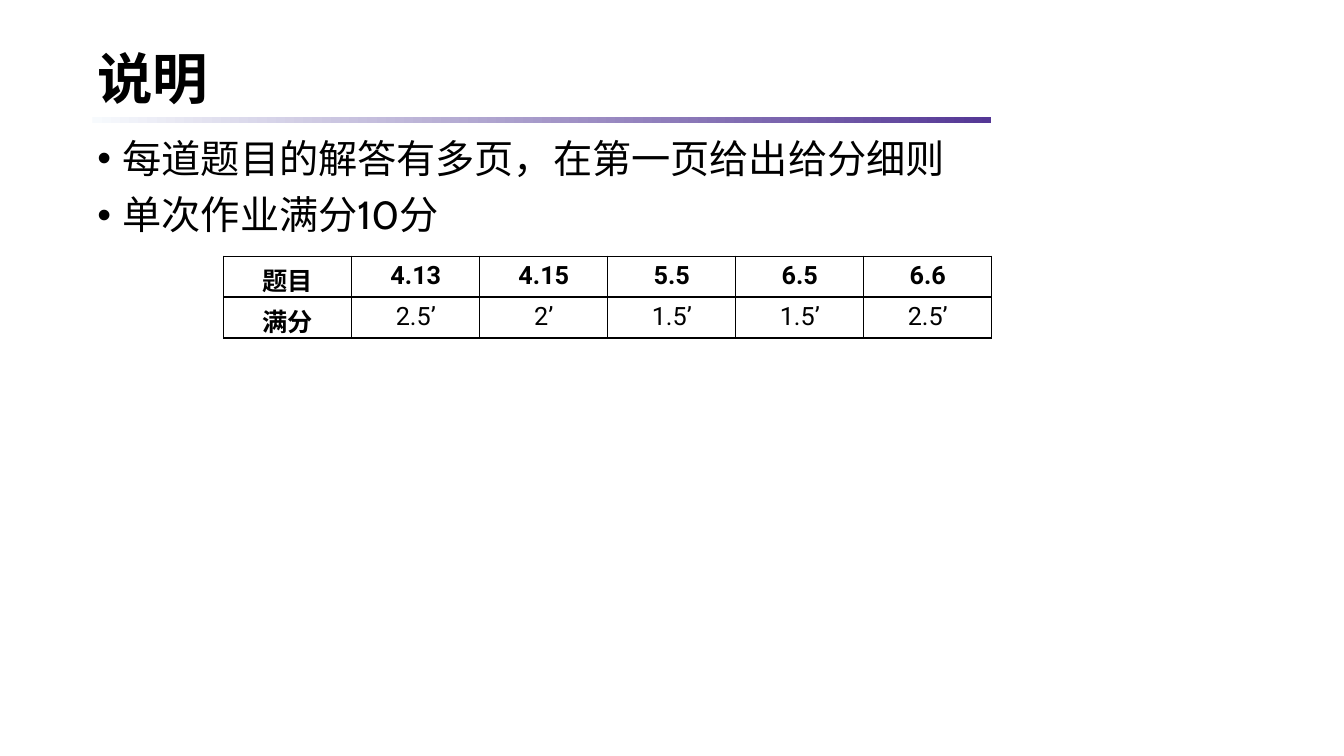
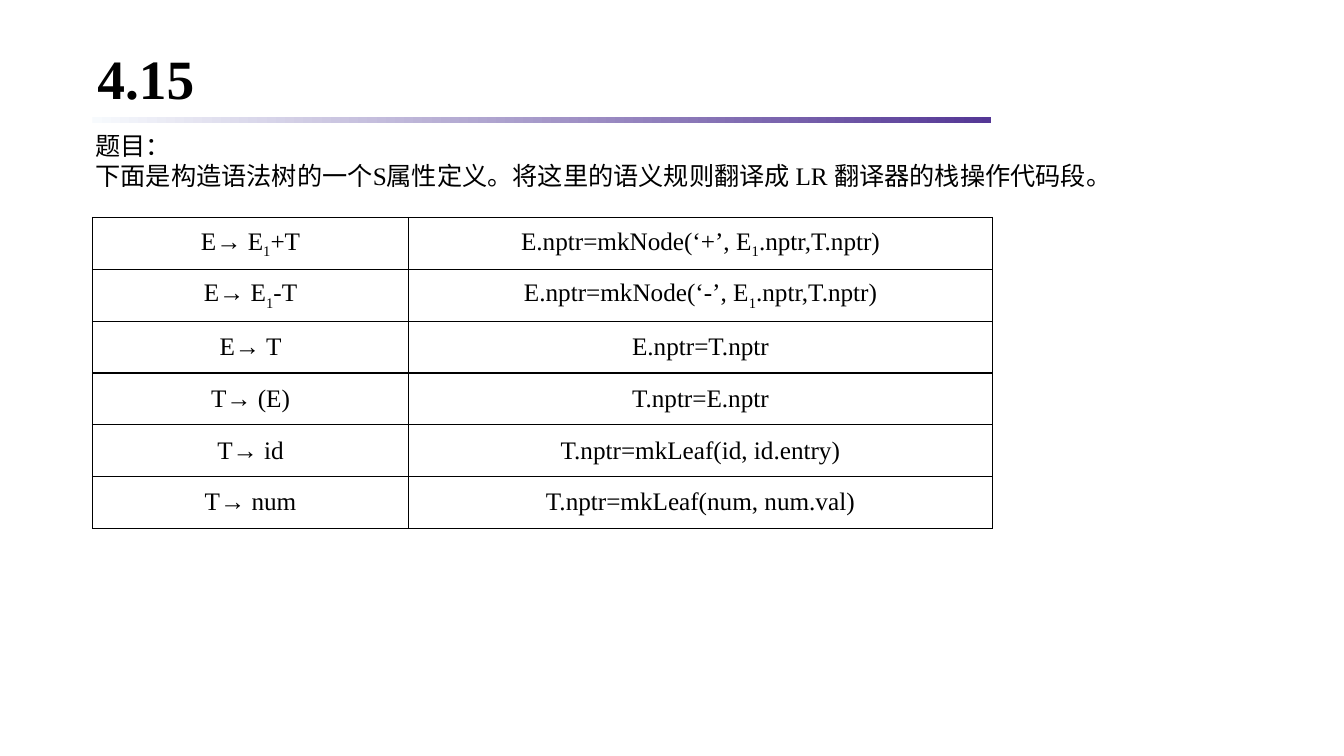
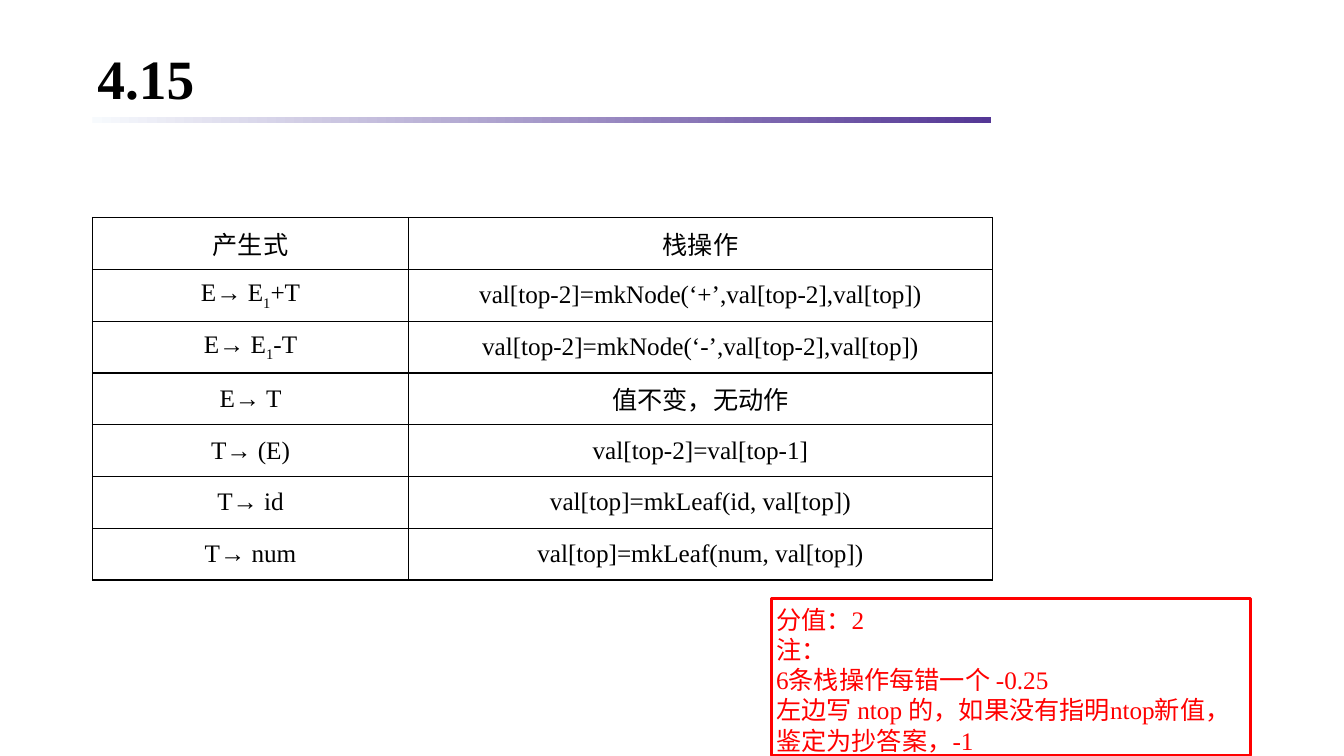
from lxml.etree import SubElement
from pptx import Presentation
from pptx.dml.color import RGBColor
from pptx.enum.shapes import MSO_SHAPE
from pptx.enum.text import MSO_ANCHOR, MSO_AUTO_SIZE, PP_ALIGN
from pptx.oxml.ns import qn
from pptx.util import Emu, Pt

# The slide is a grid of square cells, twelve to the inch.
COLUMNS, ROWS = 160, 90
UNIT = 76200

BLACK = RGBColor(0x00, 0x00, 0x00)
RED = RGBColor(0xFF, 0x00, 0x00)
PALE = RGBColor(0xF7, 0xFA, 0xFD)
PURPLE = RGBColor(0x54, 0x37, 0x95)

SERIF, SANS, FIGURES = "Times New Roman", "Cabin", "Roboto"
TEXT = {"name": SERIF, "size": Pt(18), "bold": False}
TITLE = {"name": SERIF, "size": Pt(39.6), "bold": True}
BULLET = {"name": SANS, "size": Pt(28), "bold": False}
HEADING = TEXT | {"bold": True}

LEFT, WIDTH = 11, 138
RULES_TOP, RULES_COLUMNS, RULES_ROW = 25.9, (37.65, 69.5), 6.17

SCORES = {"4.13": "2.5’", "4.15": "2’", "5.5": "1.5’", "6.5": "1.5’", "6.6": "2.5’"}
# Text between a pair of underscores is set as a subscript.
PRODUCTIONS = ["E→ E_1_+T", "E→ E_1_-T", "E→ T", "T→ (E)", "T→ id", "T→ num"]
SEMANTIC_RULES = [
    "E.nptr=mkNode(‘+’, E_1_.nptr,T.nptr)",
    "E.nptr=mkNode(‘-’, E_1_.nptr,T.nptr)",
    "E.nptr=T.nptr",
    "T.nptr=E.nptr",
    "T.nptr=mkLeaf(id, id.entry)",
    "T.nptr=mkLeaf(num, num.val)",
]
STACK_OPERATIONS = [
    "val[top-2]=mkNode(‘+’,val[top-2],val[top])",
    "val[top-2]=mkNode(‘-’,val[top-2],val[top])",
    "值不变，无动作",
    "val[top-2]=val[top-1]",
    "val[top]=mkLeaf(id, val[top])",
    "val[top]=mkLeaf(num, val[top])",
]


def grid(*cells):
    """Turn grid cells into lengths."""
    return [Emu(round(cell * UNIT)) for cell in cells]


class Slides:
    def __init__(self):
        self.deck = Presentation()
        self.deck.slide_width, self.deck.slide_height = grid(COLUMNS, ROWS)
        self.page = None

    def new_page(self, title, font=SERIF):
        self.page = self.deck.slides.add_slide(self.deck.slide_layouts[6])
        band = self.page.shapes.add_shape(MSO_SHAPE.RECTANGLE, *grid(LEFT, 13.95, 107, 0.65))
        band.shadow.inherit = False
        band.line.fill.background()
        band.fill.gradient()
        band.fill.gradient_angle = 0
        for stop, color in zip(band.fill.gradient_stops, (PALE, PURPLE)):
            stop.color.rgb = color
        box = self.text((LEFT, 5.15, WIDTH, 9), [title], TITLE | {"name": font}, inset=0.6)
        box.text_frame.vertical_anchor = MSO_ANCHOR.MIDDLE
        box.text_frame.paragraphs[0].line_spacing = 0.9

    def add_lines(self, frame, lines, style, color=BLACK, align=PP_ALIGN.LEFT):
        for number, line in enumerate(lines):
            para = frame.add_paragraph() if number else frame.paragraphs[0]
            para.alignment = align
            for position, piece in enumerate(line.split("_")):
                span = para.add_run()
                span.text = piece
                for name, value in style.items():
                    setattr(span.font, name, value)
                span.font.color.rgb = color
                if position % 2:
                    span._r.get_or_add_rPr().set("baseline", "-25000")

    def fill_frame(self, frame, lines, style, color, inset):
        frame.word_wrap = True
        frame.vertical_anchor = MSO_ANCHOR.TOP
        if inset is not None:
            for side in ("left", "top", "right", "bottom"):
                setattr(frame, f"margin_{side}", grid(inset)[0])
        self.add_lines(frame, lines, style, color)

    def text(self, place, lines, style=TEXT, inset=None):
        box = self.page.shapes.add_textbox(*grid(*place))
        self.fill_frame(box.text_frame, lines, style, BLACK, inset)
        return box

    def bullets(self, place, lines):
        box = self.text(place, lines, BULLET, inset=0.6)
        indent = grid(3)[0]
        for para in box.text_frame.paragraphs:
            para.line_spacing = 0.9
            para.space_before = Pt(10)
            properties = para._p.get_or_add_pPr()
            properties.set("marL", str(int(indent)))
            properties.set("indent", str(-int(indent)))
            SubElement(properties, qn("a:buFont"), typeface="Arial")
            SubElement(properties, qn("a:buChar"), char="•")

    def note(self, place, lines):
        box = self.page.shapes.add_shape(MSO_SHAPE.RECTANGLE, *grid(*place))
        box.shadow.inherit = False
        box.fill.background()
        box.line.color.rgb = RED
        box.line.width = Pt(2.25)
        self.fill_frame(box.text_frame, lines, TEXT, RED, 0.6)

    def table(self, left, top, widths, row_height, rows, anchor=MSO_ANCHOR.MIDDLE, style_of=None):
        """Draw a ruled table; style_of(row, column) gives a cell's format."""
        place = grid(left, top, sum(widths), row_height * len(rows))
        table = self.page.shapes.add_table(len(rows), len(widths), *place).table
        table.first_row = table.horz_banding = False
        for column, width in zip(table.columns, grid(*widths)):
            column.width = width
        for row_number, texts in enumerate(rows):
            table.rows[row_number].height = grid(row_height)[0]
            for column_number, text in enumerate(texts):
                cell = table.cell(row_number, column_number)
                self.outline(cell)
                cell.fill.background()
                cell.vertical_anchor = anchor
                style = style_of(row_number, column_number) if style_of else TEXT
                self.add_lines(cell.text_frame, [text], style, align=PP_ALIGN.CENTER)

    def outline(self, cell):
        properties = cell._tc.get_or_add_tcPr()
        for side in ("lnL", "lnR", "lnT", "lnB"):
            border = SubElement(properties, qn(f"a:{side}"), w=str(int(Pt(1))))
            fill = SubElement(border, qn("a:solidFill"))
            SubElement(fill, qn("a:srgbClr"), val=str(BLACK))

    def rules_table(self, rows):
        self.table(LEFT, RULES_TOP, RULES_COLUMNS, RULES_ROW, rows)


def score_style(row, column):
    if column == 0:
        return HEADING
    return (TEXT if row else HEADING) | {"name": FIGURES}


def main():
    slides = Slides()

    slides.new_page("说明", SANS)
    slides.bullets((LEFT, 16, WIDTH, 65.2),
                   ["每道题目的解答有多页，在第一页给出给分细则", "单次作业满分10分"])
    score_rows = [["题目", *SCORES], ["满分", *SCORES.values()]]
    slides.table(26.65, 30.5, [15.24] * len(score_rows[0]), 4.87, score_rows,
                 MSO_ANCHOR.TOP, score_style)

    slides.new_page("4.15")
    question = slides.text((10.2, 14.9, 135.4, 8.5), [
        "题目：",
        "下面是构造语法树的一个S属性定义。将这里的语义规则翻译成 LR 翻译器的栈操作代码段。",
    ])
    question.text_frame.auto_size = MSO_AUTO_SIZE.SHAPE_TO_FIT_TEXT
    slides.rules_table(list(zip(PRODUCTIONS, SEMANTIC_RULES)))

    slides.new_page("4.15")
    slides.rules_table([("产生式", "栈操作"), *zip(PRODUCTIONS, STACK_OPERATIONS)])
    slides.note((91.8, 71.3, 57.1, 18.7), [
        "分值：2",
        "注：",
        "6条栈操作每错一个 -0.25",
        "左边写 ntop 的，如果没有指明ntop新值，鉴定为抄答案，-1",
    ])

    slides.deck.save("out.pptx")


if __name__ == "__main__":
    main()
